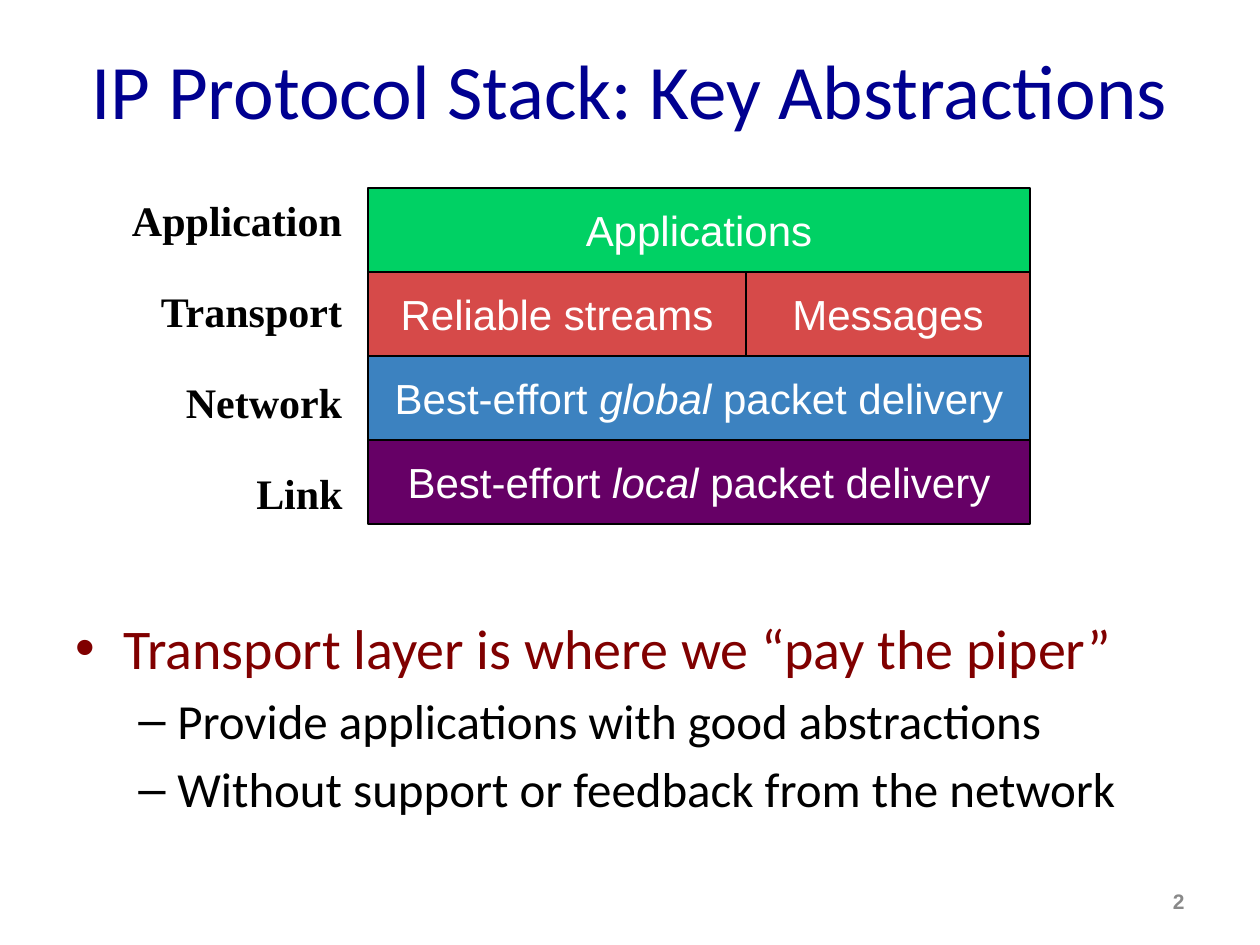
from dataclasses import dataclass

from lxml.etree import SubElement
from pptx import Presentation
from pptx.dml.color import RGBColor
from pptx.enum.shapes import MSO_SHAPE
from pptx.enum.text import MSO_ANCHOR, PP_ALIGN
from pptx.oxml.ns import qn
from pptx.util import Pt

EMU_PER_PIXEL = 914400 / 126


@dataclass(frozen=True)
class Theme:
    title: str = "000090"
    highlight: str = "800000"
    text: str = "000000"
    page_number: str = "898989"
    on_fill: str = "FFFFFF"
    outline: str = "000000"
    application: str = "00D164"
    transport: str = "D64A49"
    network: str = "3C82C0"
    link: str = "660066"
    title_size: int = 44
    point_size: int = 32
    subpoint_size: int = 28
    layer_size: int = 24
    page_size: int = 12
    outline_width: float = 0.75
    main_font: str = "Calibri"
    layer_font: str = "Arial"
    label_font: str = "Times New Roman"


THEME = Theme()


def pixels(value):
    return round(value * EMU_PER_PIXEL)


def style(paragraph, font, size, color, bold=False, align=PP_ALIGN.LEFT):
    paragraph.alignment = align
    paragraph.font.name = font
    paragraph.font.size = Pt(size)
    paragraph.font.bold = bold
    paragraph.font.color.rgb = RGBColor.from_string(color)


def add_text_frame(slide, box, anchor=MSO_ANCHOR.TOP, wrap=True):
    frame = slide.shapes.add_textbox(*map(pixels, box)).text_frame
    frame.word_wrap = wrap
    frame.vertical_anchor = anchor
    return frame


def add_text(slide, box, text, *look, anchor=MSO_ANCHOR.MIDDLE, wrap=True, **options):
    paragraph = add_text_frame(slide, box, anchor, wrap).paragraphs[0]
    paragraph.text = text
    style(paragraph, *look, **options)


def add_layer_box(slide, box, fill, runs):
    shape = slide.shapes.add_shape(MSO_SHAPE.RECTANGLE, *map(pixels, box))
    shape.shadow.inherit = False
    shape.fill.solid()
    shape.fill.fore_color.rgb = RGBColor.from_string(fill)
    shape.line.color.rgb = RGBColor.from_string(THEME.outline)
    shape.line.width = Pt(THEME.outline_width)
    frame = shape.text_frame
    frame.word_wrap = False
    frame.vertical_anchor = MSO_ANCHOR.MIDDLE
    paragraph = frame.paragraphs[0]
    style(paragraph, THEME.layer_font, THEME.layer_size, THEME.on_fill,
          align=PP_ALIGN.CENTER)
    for text, italic in runs:
        run = paragraph.add_run()
        run.text = text
        if italic:
            run.font.italic = True


def add_stack(slide):
    left, top, row_height = 368, 188, 84
    rows = [
        (THEME.application, [(662, [("Applications", False)])]),
        (THEME.transport, [(378, [("Reliable streams", False)]),
                           (284, [("Messages", False)])]),
        (THEME.network, [(662, [("Best-effort ", False), ("global ", True),
                                ("packet delivery", False)])]),
        (THEME.link, [(662, [("Best-effort ", False), ("local ", True),
                             ("packet delivery", False)])]),
    ]
    for index, (fill, cells) in enumerate(rows):
        cell_left = left
        for width, runs in cells:
            box = (cell_left, top + index * row_height, width, row_height)
            add_layer_box(slide, box, fill, runs)
            cell_left += width


def add_layer_labels(slide):
    right, top, pitch, height = 356, 188, 91, 64
    labels = [("Application", 238), ("Transport", 209), ("Network", 184), ("Link", 113)]
    for index, (text, width) in enumerate(labels):
        add_text(slide, (right - width, top + index * pitch, width, height), text,
                 THEME.label_font, THEME.layer_size, THEME.text, bold=True,
                 align=PP_ALIGN.CENTER, anchor=MSO_ANCHOR.TOP, wrap=False)


def set_bullet(paragraph, character, margin, hanging):
    properties = paragraph._p.get_or_add_pPr()
    properties.set("marL", str(pixels(margin)))
    properties.set("indent", str(-pixels(hanging)))
    bullet_font = SubElement(properties, qn("a:buFont"))
    bullet_font.set("typeface", "Arial")
    SubElement(properties, qn("a:buChar")).set("char", character)
    for default in properties.findall(qn("a:defRPr")):
        properties.append(default)


def add_points(slide):
    frame = add_text_frame(slide, (63, 607, 1176, 246))
    points = [
        ("Transport layer is where we “pay the piper”", 0),
        ("Provide applications with good abstractions", 1),
        ("Without support or feedback from the network", 1),
    ]
    levels = [
        (THEME.point_size, THEME.highlight, "•", 48, 48),
        (THEME.subpoint_size, THEME.text, "–", 102, 39),
    ]
    for index, (text, level) in enumerate(points):
        size, color, character, margin, hanging = levels[level]
        paragraph = frame.add_paragraph() if index else frame.paragraphs[0]
        paragraph.text = text
        paragraph.level = level
        paragraph.space_before = Pt(size * 0.2)
        style(paragraph, THEME.main_font, size, color)
        set_bullet(paragraph, character, margin, hanging)


def main():
    presentation = Presentation()
    presentation.slide_width = pixels(1260)
    presentation.slide_height = pixels(945)
    slide = presentation.slides.add_slide(presentation.slide_layouts[6])
    add_text(slide, (63, 10, 1134, 158), "IP Protocol Stack: Key Abstractions",
             THEME.main_font, THEME.title_size, THEME.title, align=PP_ALIGN.CENTER)
    add_points(slide)
    add_text(slide, (903, 876, 294, 50), "2", THEME.layer_font, THEME.page_size,
             THEME.page_number, bold=True, align=PP_ALIGN.RIGHT)
    add_stack(slide)
    add_layer_labels(slide)
    presentation.save("out.pptx")


main()
